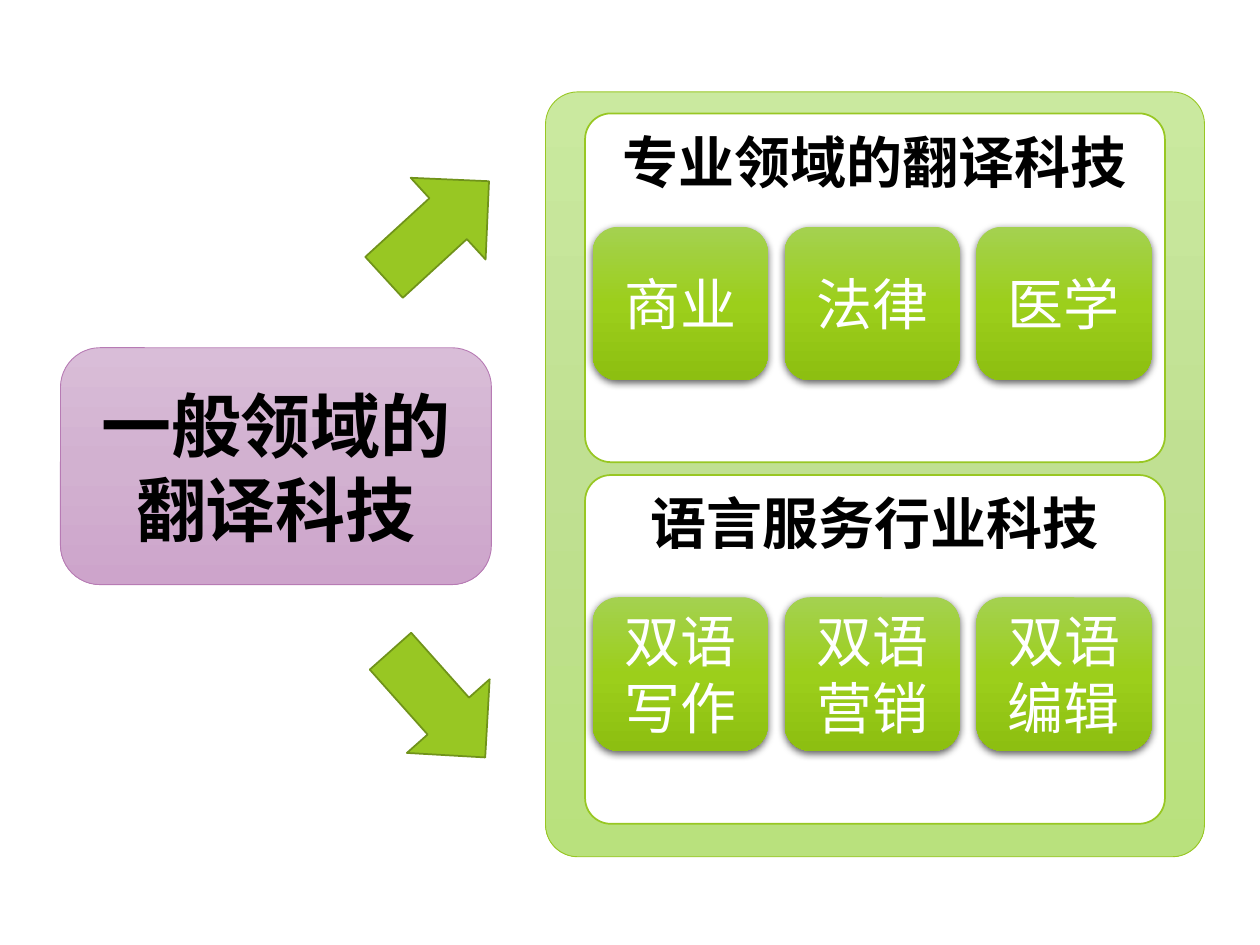
from copy import deepcopy

from lxml import etree
from pptx import Presentation
from pptx import util as u
from pptx.dml.color import RGBColor
from pptx.enum import lang, shapes, text
from pptx.oxml import parse_xml
from pptx.oxml.ns import nsdecls, qn

WHITE = RGBColor(0xFF, 0xFF, 0xFF)
BLACK = RGBColor(0, 0, 0)
GREEN = RGBColor(0x98, 0xC7, 0x23)
DARK_GREEN = RGBColor(0x70, 0x93, 0x1A)
PURPLE = RGBColor(0xB7, 0x7B, 0xB4)
LILAC = [RGBColor.from_string(c) for c in ("D9BDD8", "D2B1D0", "CDA4CB")]
PALE_GREEN = [RGBColor.from_string(c) for c in ("CAE99F", "C0E092", "B9E17D")]
BRIGHT_GREEN = [RGBColor.from_string(c) for c in ("A4D150", "9CCF1B", "8DBF11")]
LATIN, CJK = "Calibri", "Noto Sans CJK TC"

FIELDS = [
    ("专业领域的翻译科技", ["商业", "法律", "医学"], 0.9, 0.9),
    ("语言服务行业科技", ["双语写作", "双语营销", "双语编辑"], 3.77, 0.97),
]


def add_block(slide, box, fill, line=None, width=0.5, kind="ROUNDED_RECTANGLE", corner=None):
    block = slide.shapes.add_shape(
        getattr(shapes.MSO_SHAPE, kind), *(u.Inches(v) for v in box))
    block.shadow.inherit = False
    if isinstance(fill, list):
        shade(block, fill)
    else:
        block.fill.solid()
        block.fill.fore_color.rgb = fill
    if line is None:
        block.line.fill.background()
    else:
        block.line.color.rgb = line
        block.line.width = u.Pt(width)
    if corner is not None:
        block.adjustments[0] = corner
    return block


def shade(block, colours):
    block.fill.gradient()
    block.fill.gradient_angle = 270
    stops = block._element.spPr.find(qn("a:gradFill")).find(qn("a:gsLst"))
    middle = deepcopy(stops[0])
    middle.set("pos", "50000")
    stops.insert(1, middle)
    for stop, colour in zip(block.fill.gradient_stops, colours):
        stop.color.rgb = colour


def write(block, words, size, colour, bold=False, face=LATIN, anchor=text.MSO_ANCHOR.MIDDLE):
    frame = block.text_frame
    frame.word_wrap = True
    frame.vertical_anchor = anchor
    frame.text = words
    for paragraph in frame.paragraphs:
        paragraph.alignment = text.PP_ALIGN.CENTER
        for run in paragraph.runs:
            run.font.name = face
            run.font.size = u.Pt(size)
            run.font.bold = bold
            run.font.color.rgb = colour
            run.font.language_id = lang.MSO_LANGUAGE_ID.SIMPLIFIED_CHINESE
            latin = run._r.rPr.find(qn("a:latin"))
            east_asian = etree.Element(qn("a:ea"), typeface=CJK)
            latin.addnext(east_asian)


def cast_shadow(block):
    effects = block._element.spPr.find(qn("a:effectLst"))
    effects.append(parse_xml(
        f'<a:outerShdw {nsdecls("a")} blurRad="{u.Pt(4.5)}" dist="{u.Pt(1.5)}" '
        'dir="5400000" rotWithShape="0"><a:srgbClr val="000000">'
        '<a:alpha val="63000"/></a:srgbClr></a:outerShdw>'))


def add_general_field(slide, box):
    general = add_block(slide, box, LILAC, PURPLE)
    write(general, "一般领域的\n翻译科技", 40, BLACK, bold=True)


def add_arrow(slide, box, angle):
    arrow = add_block(slide, box, GREEN, DARK_GREEN, 1, "RIGHT_ARROW")
    arrow.rotation = angle


def add_field(slide, box, heading, topics, drop):
    left, top, width, height = box
    panel = add_block(slide, box, WHITE, GREEN, 1, corner=0.074)
    write(panel, heading, 32, BLACK, bold=True, anchor=text.MSO_ANCHOR.TOP)
    column = 0.331 * width
    for index, topic in enumerate(topics):
        card = add_block(
            slide,
            (left + 0.06 + index * column, top + drop, 0.302 * width, 0.44 * height),
            BRIGHT_GREEN)
        cast_shadow(card)
        write(card, topic, 32, WHITE, face=CJK)


def add_special_fields(slide, box):
    left, top, width, height = box
    add_block(slide, box, PALE_GREEN, GREEN, corner=0.049)
    for heading, topics, panel_top, drop in FIELDS:
        panel = (left + 0.06 * width, panel_top, 0.88 * width, 0.456 * height)
        add_field(slide, panel, heading, topics, drop)


deck = Presentation()
deck.slide_width, deck.slide_height = u.Inches(10), u.Inches(7.5)
slide = deck.slides.add_slide(deck.slide_layouts[6])
add_general_field(slide, (0.48, 2.76, 3.42, 1.88))
add_special_fields(slide, (4.33, 0.73, 5.23, 6.07))
add_arrow(slide, (2.9, 1.38, 1.13, 0.88), 317.5)
add_arrow(slide, (2.91, 5.15, 1.13, 0.88), 48.3)
deck.save("out.pptx")
